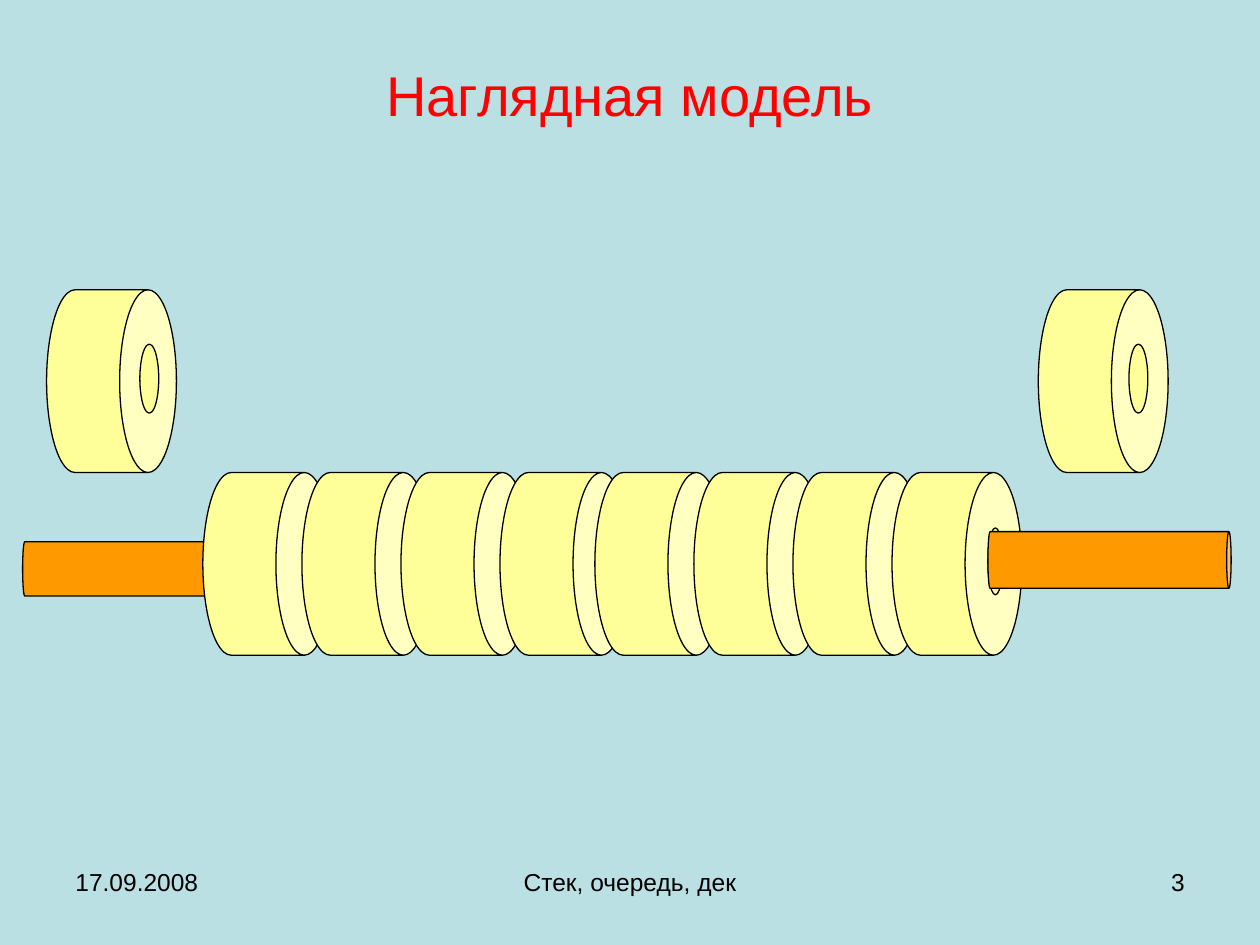
from pptx import Presentation
from pptx.dml.color import RGBColor
from pptx.enum.shapes import MSO_SHAPE
from pptx.enum.text import MSO_ANCHOR, PP_ALIGN
from pptx.util import Pt

CAN, OVAL = MSO_SHAPE.CAN, MSO_SHAPE.OVAL
LEFT, CENTER, RIGHT = PP_ALIGN.LEFT, PP_ALIGN.CENTER, PP_ALIGN.RIGHT
TOP, MIDDLE = MSO_ANCHOR.TOP, MSO_ANCHOR.MIDDLE
TITLE_ONLY = 5

COLORS = {
    "background": "BBE0E3",
    "title": "FF0000",
    "text": "000000",
    "outline": "000000",
    "disc": "FFFF99",
    "rod": "FF9900",
}
FONT = "Arial"
DISC_LENGTH, DISC_DIAMETER = 74.2, 104.4
DISC_PITCH = 56.6
STACK_Y, LOOSE_Y = 322.2, 217.8


def color(name):
    return RGBColor.from_string(COLORS[name])


def add_solid(slide, kind, center_x, center_y, width, height, fill):
    shape = slide.shapes.add_shape(
        kind, Pt(center_x - width / 2), Pt(center_y - height / 2),
        Pt(width), Pt(height))
    shape.shadow.inherit = False
    shape.fill.solid()
    shape.fill.fore_color.rgb = color(fill)
    shape.line.color.rgb = color("outline")
    shape.line.width = Pt(0.75)
    return shape


def add_lying_can(slide, center_x, center_y, length, diameter, rim, fill):
    """Draw a cylinder on its side, with its lid facing right."""
    can = add_solid(slide, CAN, center_x, center_y, diameter, length, fill)
    can.rotation = 90
    can.adjustments[0] = rim


def add_disc(slide, center_x, center_y):
    add_lying_can(slide, center_x, center_y, DISC_LENGTH, DISC_DIAMETER,
                  0.437, "disc")


def add_rod(slide, center_x, center_y, diameter):
    add_lying_can(slide, center_x, center_y, 139, diameter, 0.079, "rod")


def add_loose_disc(slide, center_x, hole_x):
    add_disc(slide, center_x, LOOSE_Y)
    add_solid(slide, OVAL, hole_x, LOOSE_Y - 1.4, 10.8, 39.4, "disc")


def add_stack(slide):
    for first_x in (153, 377):
        for index in range(4):
            add_disc(slide, first_x + index * DISC_PITCH, STACK_Y)
    add_solid(slide, OVAL, 568.8, STACK_Y - 1.4, 8.6, 38.2, "disc")


def write_text(box, text, size, fill, align, anchor):
    frame = box.text_frame
    frame.word_wrap = True
    frame.vertical_anchor = anchor
    para = frame.paragraphs[0]
    para.alignment = align
    span = para.add_run()
    span.text = text
    span.font.name = FONT
    span.font.size = Pt(size)
    span.font.color.rgb = color(fill)


def add_title(slide, text):
    title = slide.shapes.title
    title.left, title.top = Pt(36), Pt(18.7)
    title.width, title.height = Pt(648), Pt(70.6)
    write_text(title, text, 32, "title", CENTER, MIDDLE)


def add_footer(slide, text, left, width, align):
    box = slide.shapes.add_textbox(Pt(left), Pt(491.8), Pt(width), Pt(37.4))
    write_text(box, text, 14, "text", align, TOP)


def main():
    deck = Presentation()
    deck.slide_width, deck.slide_height = Pt(720), Pt(540)
    slide = deck.slides.add_slide(deck.slide_layouts[TITLE_ONLY])
    slide.background.fill.solid()
    slide.background.fill.fore_color.rgb = color("background")

    add_title(slide, "Наглядная модель")
    add_rod(slide, 82.4, 325.1, 31)
    add_stack(slide)
    add_rod(slide, 634, 320, 32.4)
    add_loose_disc(slide, 63.7, 85.3)
    add_loose_disc(slide, 630.4, 650.5)

    add_footer(slide, "Стек, очередь, дек", 246, 228, CENTER)
    add_footer(slide, "3", 516, 168, RIGHT)
    add_footer(slide, "17.09.2008", 36, 168, LEFT)
    deck.save("out.pptx")


if __name__ == "__main__":
    main()
